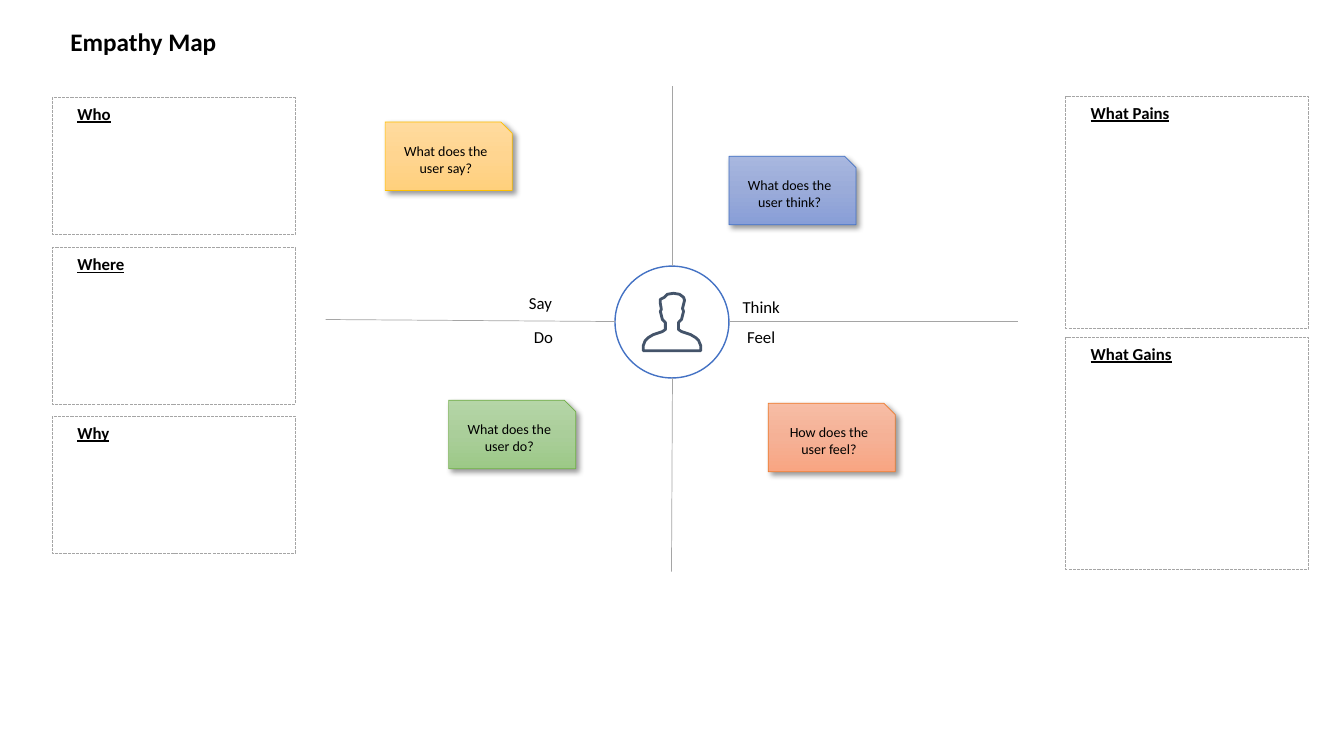
from copy import deepcopy
from dataclasses import dataclass

from pptx import Presentation
from pptx.dml.color import RGBColor
from pptx.enum.dml import MSO_LINE
from pptx.enum.shapes import MSO_CONNECTOR, MSO_SHAPE
from pptx.enum.text import MSO_ANCHOR, MSO_AUTO_SIZE, PP_ALIGN
from pptx.oxml import parse_xml
from pptx.oxml.ns import nsdecls, qn
from pptx.util import Inches, Pt


@dataclass(frozen=True)
class Theme:
    font: str = "Calibri"
    text: str = "000000"
    white: str = "FFFFFF"
    grey: str = "A5A5A5"
    blue: str = "4472C4"
    slate: str = "44546A"
    yellow: str = "FFC000"
    green: str = "70AD47"
    orange: str = "ED7D31"
    yellow_fade: tuple = ("FFDB9E", "FFD590", "FFD07C")
    green_fade: tuple = ("B5D5A7", "AACE9A", "9CC987")
    blue_fade: tuple = ("A8B7DF", "9AABD9", "889ED7")
    orange_fade: tuple = ("F7BDA5", "F5B196", "F8A582")
    title_size: int = 18
    label_size: int = 12
    note_size: int = 10


theme = Theme()
presentation = Presentation()
presentation.slide_width = Inches(13.33)
presentation.slide_height = Inches(7.5)
slide = presentation.slides.add_slide(presentation.slide_layouts[6])
shapes = slide.shapes


def add_text(text, box=None, shape=None, size=theme.label_size, bold=False,
             underline=False, align=PP_ALIGN.LEFT):
    """Write text into a shape, or into a new text box at box (inches)."""
    if shape is None:
        shape = shapes.add_textbox(*map(Inches, box))
        shape.text_frame.auto_size = MSO_AUTO_SIZE.SHAPE_TO_FIT_TEXT
    frame = shape.text_frame
    frame.word_wrap = True
    paragraph = frame.paragraphs[0]
    paragraph.alignment = align
    run = paragraph.add_run()
    run.text = text
    run.font.name = theme.font
    run.font.size = Pt(size)
    run.font.bold = bold
    run.font.underline = underline
    run.font.color.rgb = RGBColor.from_string(theme.text)


def outline(shape, color, width):
    """Give a shape a plain line, no fill and no shadow."""
    shape.shadow.inherit = False
    shape.fill.background()
    shape.line.color.rgb = RGBColor.from_string(color)
    shape.line.width = Pt(width)


# Title
add_text("Empathy Map", box=(0.6, 0.21, 3.67, 0.41), size=theme.title_size, bold=True)

# Dashed side panels with their headings
panel_width = 2.41
left_column, right_column = 0.52, 10.57
panels = [
    ("Who", left_column, 0.97, 1.36),
    ("Where", left_column, 2.46, 1.55),
    ("Why", left_column, 4.13, 1.36),
    ("What Pains", right_column, 0.96, 2.3),
    ("What Gains", right_column, 3.35, 2.3),
]
for heading, left, top, height in panels:
    panel = shapes.add_shape(MSO_SHAPE.RECTANGLE, Inches(left), Inches(top),
                             Inches(panel_width), Inches(height))
    outline(panel, theme.grey, 0.75)
    panel.line.dash_style = MSO_LINE.SQUARE_DOT
    add_text(heading, box=(left + 0.15, top + 0.01, 1.73, 0.3), bold=True, underline=True)

# User circle and the four axes that leave it
circle = shapes.add_shape(MSO_SHAPE.OVAL, Inches(6.1), Inches(2.64), Inches(1.13), Inches(1.11))
outline(circle, theme.blue, 1)
circle.fill.solid()
circle.fill.fore_color.rgb = RGBColor.from_string(theme.white)

axes = [
    (3.23, 3.17, 6.1, 3.19),
    (7.23, 3.19, 10.1, 3.19),
    (6.67, 2.64, 6.67, 0.85),
    (6.66, 5.67, 6.67, 3.75),
]
for ends in axes:
    axis = shapes.add_connector(MSO_CONNECTOR.STRAIGHT, *map(Inches, ends))
    axis.line.color.rgb = RGBColor.from_string(theme.grey)
    axis.line.width = Pt(0.5)
    axis._element.spPr.append(parse_xml(f"<a:effectLst {nsdecls('a')}/>"))

# User silhouette: shoulder, head, shoulder
silhouette = [
    (6.95, 3.48), (6.38, 3.48), (6.38, 3.43), (6.4, 3.38), (6.43, 3.35),
    (6.48, 3.32), (6.57, 3.29), (6.6, 3.27), (6.6, 3.2), (6.57, 3.17),
    (6.56, 3.13), (6.55, 3.09), (6.56, 3.07), (6.55, 3.01), (6.55, 2.97),
    (6.59, 2.95), (6.62, 2.92), (6.68, 2.91), (6.74, 2.92), (6.78, 2.95),
    (6.79, 2.98), (6.77, 3.06), (6.78, 3.09), (6.77, 3.13), (6.76, 3.17),
    (6.73, 3.2), (6.73, 3.27), (6.76, 3.29), (6.85, 3.32), (6.9, 3.35),
    (6.93, 3.38), (6.95, 3.43),
]
points = [(Inches(x), Inches(y)) for x, y in silhouette]
builder = shapes.build_freeform(*points[0])
builder.add_line_segments(points[1:], close=True)
outline(builder.convert_to_shape(), theme.slate, 2)

# Quadrant labels
quadrants = [("Say", 4.88, 2.86), ("Do", 4.91, 3.19), ("Think", 7.07, 2.89), ("Feel", 7.07, 3.19)]
for label, left, top in quadrants:
    add_text(label, box=(left, top, 0.96, 0.3), align=PP_ALIGN.CENTER)

# Sticky notes with a three-step gradient and a soft shadow
notes = [
    ("What does the user say?", 3.82, 1.21, theme.yellow, theme.yellow_fade),
    ("What does the user do?", 4.45, 3.97, theme.green, theme.green_fade),
    ("What does the user think?", 7.23, 1.55, theme.blue, theme.blue_fade),
    ("How does the user feel?", 7.62, 4, theme.orange, theme.orange_fade),
]
for question, left, top, edge, fade in notes:
    note = shapes.add_shape(MSO_SHAPE.SNIP_1_RECTANGLE, Inches(left), Inches(top),
                            Inches(1.26), Inches(0.68))
    outline(note, edge, 0.5)
    note.fill.gradient()
    note.fill.gradient_angle = 270
    properties = note._element.spPr
    stop_list = properties.find(qn("a:gradFill")).find(qn("a:gsLst"))
    stop_list.insert(1, deepcopy(stop_list[0]))
    for stop, position, color in zip(note.fill.gradient_stops, (0, 0.5, 1), fade):
        stop.position = position
        stop.color.rgb = RGBColor.from_string(color)
    properties.find(qn("a:effectLst")).append(parse_xml(
        f'<a:outerShdw {nsdecls("a")} blurRad="{Pt(4)}" dist="{Pt(3)}" dir="2700000" '
        'algn="tl" rotWithShape="0"><a:srgbClr val="000000"><a:alpha val="40000"/>'
        '</a:srgbClr></a:outerShdw>'))
    note.text_frame.vertical_anchor = MSO_ANCHOR.MIDDLE
    add_text(question, shape=note, size=theme.note_size, align=PP_ALIGN.CENTER)

presentation.save("out.pptx")
